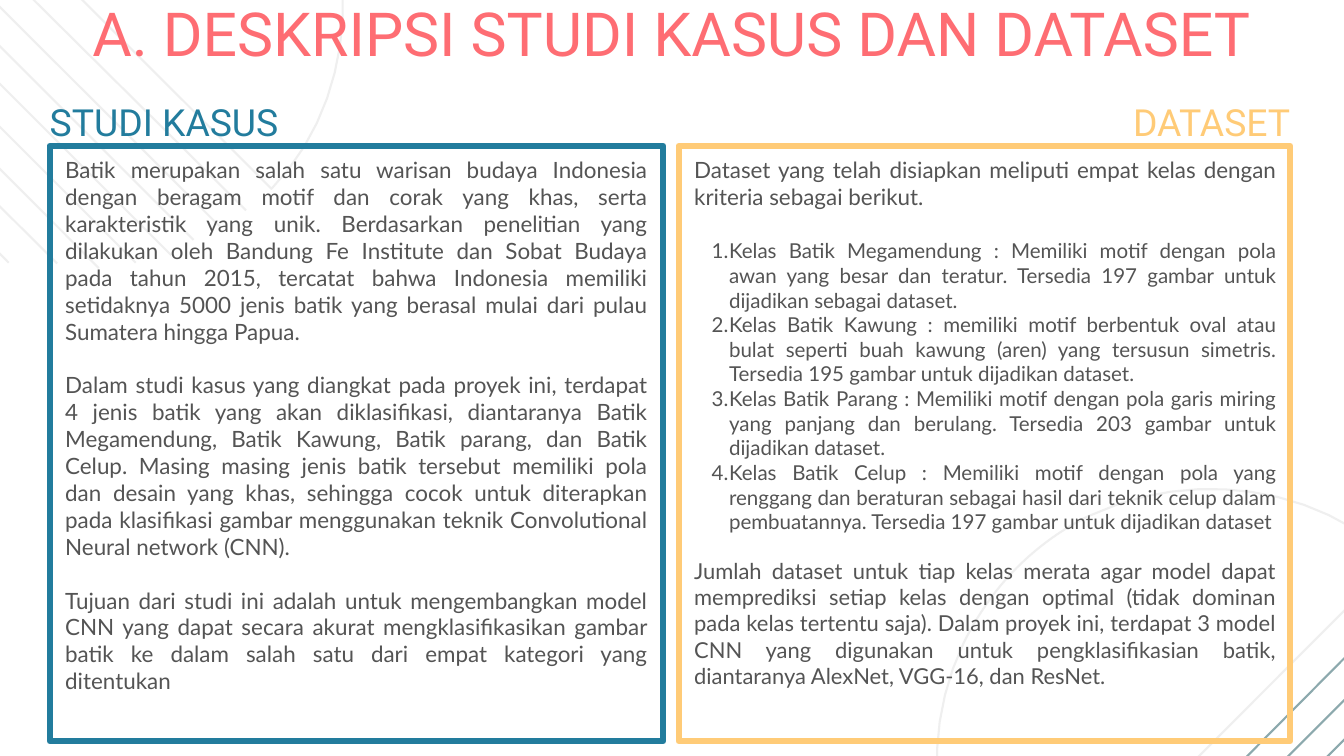
from lxml import etree
from pptx import Presentation
from pptx import util as u
from pptx.dml.color import RGBColor
from pptx.enum import shapes, text
from pptx.oxml import ns

PX = 9144
CORAL = RGBColor(0xFE, 0x6D, 0x73)
TEAL = RGBColor(0x22, 0x7C, 0x9D)
AMBER = RGBColor(0xFF, 0xCB, 0x77)
GRAY = RGBColor(0x54, 0x54, 0x54)
PALE = RGBColor(0xEF, 0xEF, 0xEF)
STEEL = RGBColor(0x8C, 0xA9, 0xAD)
ALIGN = text.PP_ALIGN

CURVES = [
    [(281, -360), (320, -341), (360, -314), (393, -281)],
    [(393, -281), (426, -248), (452, -211), (471, -172)],
    [(471, -172), (471, -171), (472, -170), (472, -169)],
    [(472, -169), (541, -20), (516, 166), (404, 281)],
    [(-170, -292), (-54, -405), (131, -432), (281, -360)],
]
RAYS = [
    ((-201, -249), (366, 313)),
    ((-225, -214), (327, 337)),
    ((-244, -175), (288, 357)),
    ((-258, -133), (255, 380)),
    ((-274, -85), (202, 391)),
    ((-287, -36), (147, 399)),
    ((-284, 25), (85, 392)),
    ((-274, 99), (13, 391)),
]

BODY = {"size": 24, "lead": 28.8}
ITEM = {"size": 22, "lead": 26.4, "list": True}
CASE = [
    ("Batik merupakan salah satu warisan budaya Indonesia dengan beragam motif dan corak yang khas, "
     "serta karakteristik yang unik. Berdasarkan penelitian yang dilakukan oleh Bandung Fe Institute "
     "dan Sobat Budaya pada tahun 2015, tercatat bahwa Indonesia memiliki setidaknya 5000 jenis batik "
     "yang berasal mulai dari pulau Sumatera hingga Papua.", BODY),
    ("Dalam studi kasus yang diangkat pada proyek ini, terdapat 4 jenis batik yang akan diklasifikasi, "
     "diantaranya Batik Megamendung, Batik Kawung, Batik parang, dan Batik Celup. Masing masing jenis "
     "batik tersebut memiliki pola dan desain yang khas, sehingga cocok untuk diterapkan pada "
     "klasifikasi gambar menggunakan teknik Convolutional Neural network (CNN).", BODY | {"gap": 28.8}),
    ("Tujuan dari studi ini adalah untuk mengembangkan model CNN yang dapat secara akurat "
     "mengklasifikasikan gambar batik ke dalam salah satu dari empat kategori yang ditentukan",
     BODY | {"gap": 28.8}),
]
DATA = [
    ("Dataset yang telah disiapkan meliputi empat kelas dengan kriteria sebagai berikut.", BODY),
    ("Kelas Batik Megamendung : Memiliki motif dengan pola awan yang besar dan teratur. "
     "Tersedia 197 gambar untuk dijadikan sebagai dataset.", ITEM | {"gap": 30}),
    ("Kelas Batik Kawung : memiliki motif berbentuk oval atau bulat seperti buah kawung (aren) yang "
     "tersusun simetris. Tersedia 195 gambar untuk dijadikan dataset.", ITEM),
    ("Kelas Batik Parang : Memiliki motif dengan pola garis miring yang panjang dan berulang. "
     "Tersedia 203 gambar untuk dijadikan dataset.", ITEM),
    ("Kelas Batik Celup : Memiliki motif dengan pola yang renggang dan beraturan sebagai hasil dari "
     "teknik celup dalam pembuatannya. Tersedia 197 gambar untuk dijadikan dataset", ITEM),
    ("Jumlah dataset untuk tiap kelas merata agar model dapat memprediksi setiap kelas dengan optimal "
     "(tidak dominan pada kelas tertentu saja). Dalam proyek ini, terdapat 3 model CNN yang digunakan "
     "untuk pengklasifikasian batik, diantaranya AlexNet, VGG-16, dan ResNet.",
     {"size": 23.5, "lead": 28.2, "gap": 25.2}),
]


def put(obj, vals):
    """Set each attribute of an object from a dict."""
    for name, val in vals.items():
        setattr(obj, name, val)


def emu(*vals):
    """Turn px lengths into EMU."""
    return [round(val * PX) for val in vals]


def stroke(shape, tone, width):
    """Give a shape or connector a plain line."""
    shape.line.color.rgb = tone
    shape.line.width = u.Pt(width)


def bend(ends, steps=12):
    """Return points along a cubic curve, its start left out."""
    pts = []
    for step in range(1, steps + 1):
        t = step / steps
        mix = ((1 - t) ** 3, 3 * t * (1 - t) ** 2, 3 * t * t * (1 - t), t ** 3)
        pts.append(tuple(sum(m * p[axis] for m, p in zip(mix, ends)) for axis in (0, 1)))
    return pts


def corner(slide, left, top, turned, count, tone):
    """Draw the rounded outline and its diagonal rays about a point."""
    def spot(pt):
        x, y = (pt[1], -pt[0]) if turned else pt
        return emu(left + x, top + y)

    pen = slide.shapes.build_freeform(*spot(CURVES[0][0]), scale=1.0)
    for ends in CURVES:
        pen.add_line_segments([spot(pt) for pt in [ends[0]] + bend(ends)], close=False)
    pen.add_line_segments([], close=True)
    arc = pen.convert_to_shape()
    arc.fill.background()
    arc.shadow.inherit = False
    stroke(arc, PALE, 2.25)
    for start, end in RAYS[:count]:
        ray = slide.shapes.add_connector(shapes.MSO_CONNECTOR.STRAIGHT, *spot(start), *spot(end))
        stroke(ray, tone, 2.25)
        etree.SubElement(ray.line._get_or_add_ln().getparent(), ns.qn("a:effectLst"))


def write(slide, box, paras, font, tone, align):
    """Fill a text box with formatted paragraphs."""
    frame = slide.shapes.add_textbox(*emu(*box)).text_frame
    put(frame, dict.fromkeys(("margin_left", "margin_top", "margin_right", "margin_bottom"), 0))
    frame.word_wrap = True
    for num, (words, form) in enumerate(paras):
        para = frame.add_paragraph() if num else frame.paragraphs[0]
        if form.get("list"):
            props = para._p.get_or_add_pPr()
            props.set("marL", str(52 * PX))
            props.set("indent", str(-26 * PX))
            etree.SubElement(props, ns.qn("a:buAutoNum"), type="arabicPeriod")
        put(para, {"alignment": align, "line_spacing": u.Pt(form["lead"]),
                   "space_before": u.Pt(form.get("gap", 0))})
        run = para.add_run()
        run.text = words
        put(run.font, {"name": font, "size": u.Pt(form["size"])})
        run.font.color.rgb = tone


def title(slide, box, words):
    """Write the slide title in its box."""
    write(slide, box, [(words, {"size": 65, "lead": 65})], "Roboto", CORAL, ALIGN.CENTER)


def panel(slide, box, head, align, tone, paras):
    """Draw a framed panel with a heading above and text within."""
    left, top, wide, high = box
    frame = slide.shapes.add_shape(shapes.MSO_SHAPE.RECTANGLE, *emu(*box))
    frame.fill.background()
    frame.shadow.inherit = False
    stroke(frame, tone, 6.75)
    write(slide, (left, top - 59, wide, 59), [(head, {"size": 40, "lead": 40})], "Roboto", tone, align)
    write(slide, (left + 23, top + 16, 866, high - 40), paras, "Lato", GRAY, ALIGN.JUSTIFY)


def main():
    """Build the slide and save it."""
    deck = Presentation()
    put(deck, {"slide_width": 2000 * PX, "slide_height": 1125 * PX})
    slide = deck.slides.add_slide(deck.slide_layouts[6])
    corner(slide, 0, 0, False, 8, PALE)
    corner(slide, 1794, 1238, True, 3, STEEL)
    title(slide, (0, 12, 2000, 95), "A. DESKRIPSI STUDI KASUS DAN DATASET")
    panel(slide, (74, 217, 913, 886), "STUDI KASUS", ALIGN.LEFT, TEAL, CASE)
    panel(slide, (1010, 217, 910, 886), "DATASET", ALIGN.RIGHT, AMBER, DATA)
    deck.save("out.pptx")


if __name__ == "__main__":
    main()
